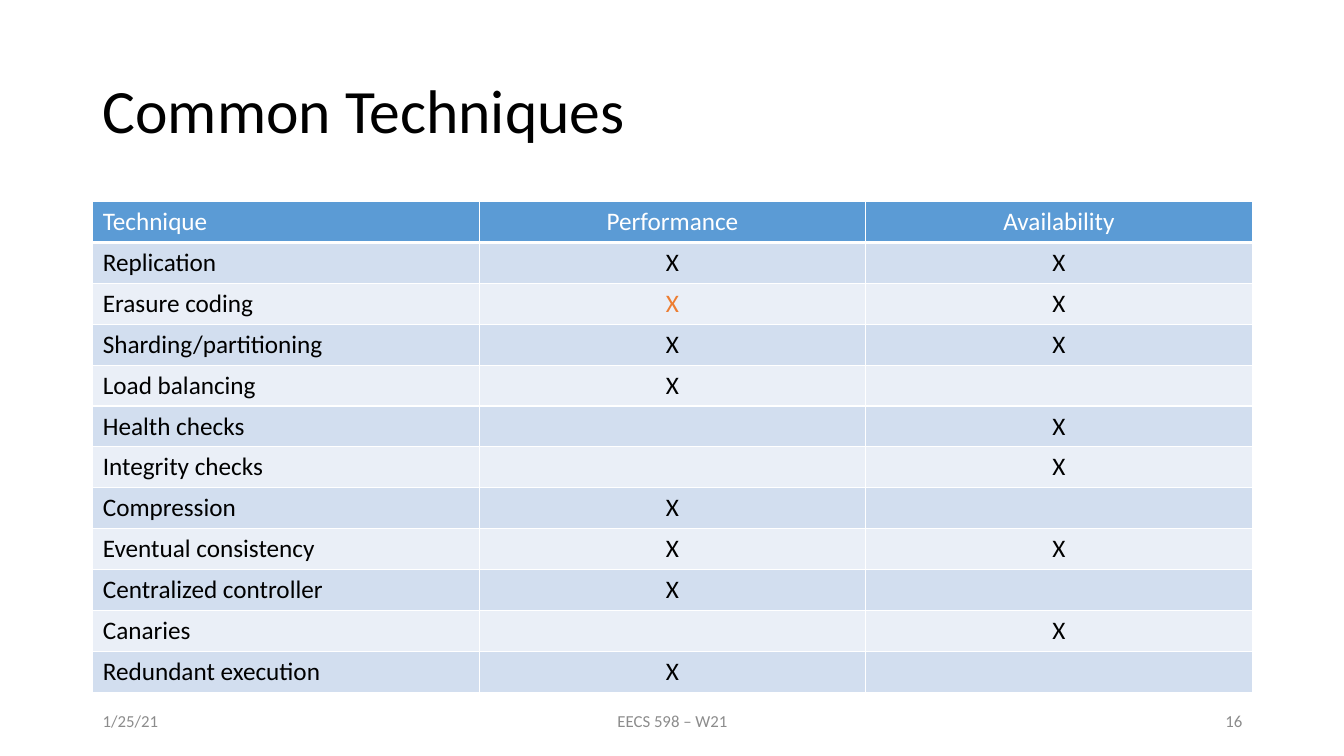
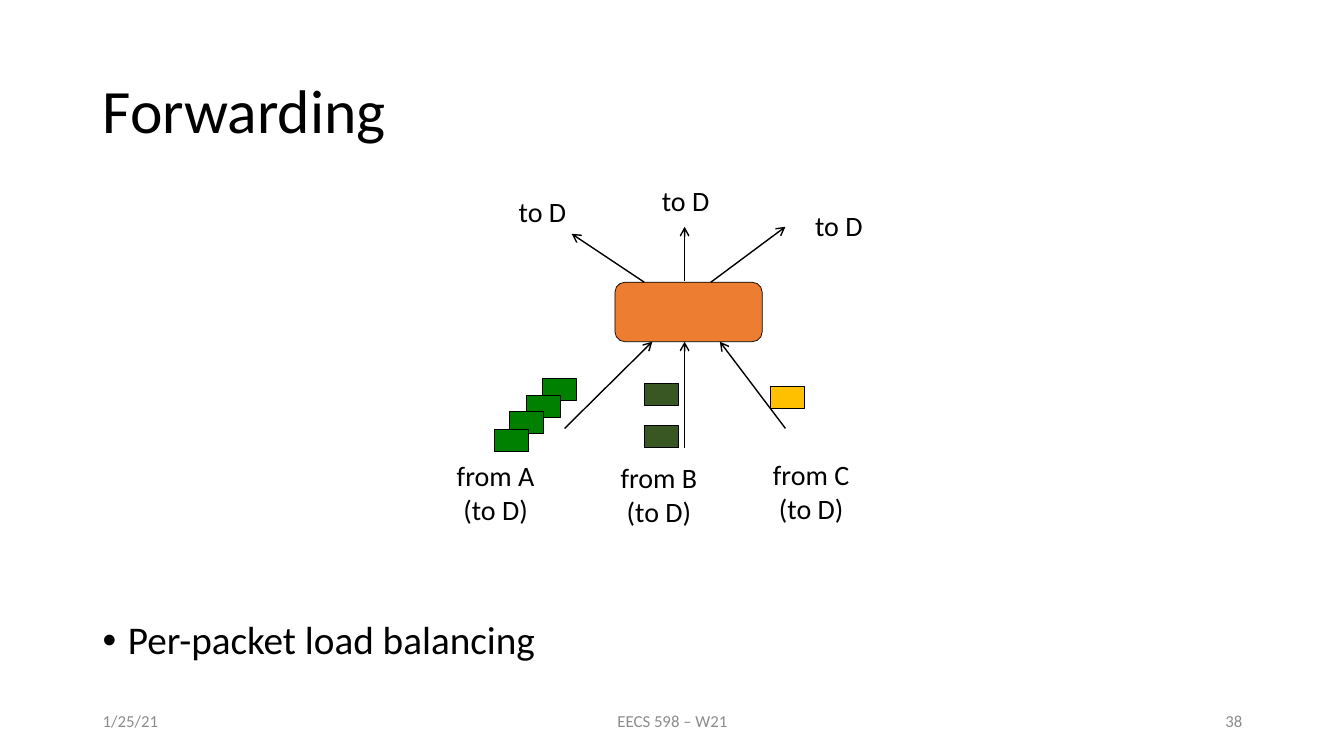
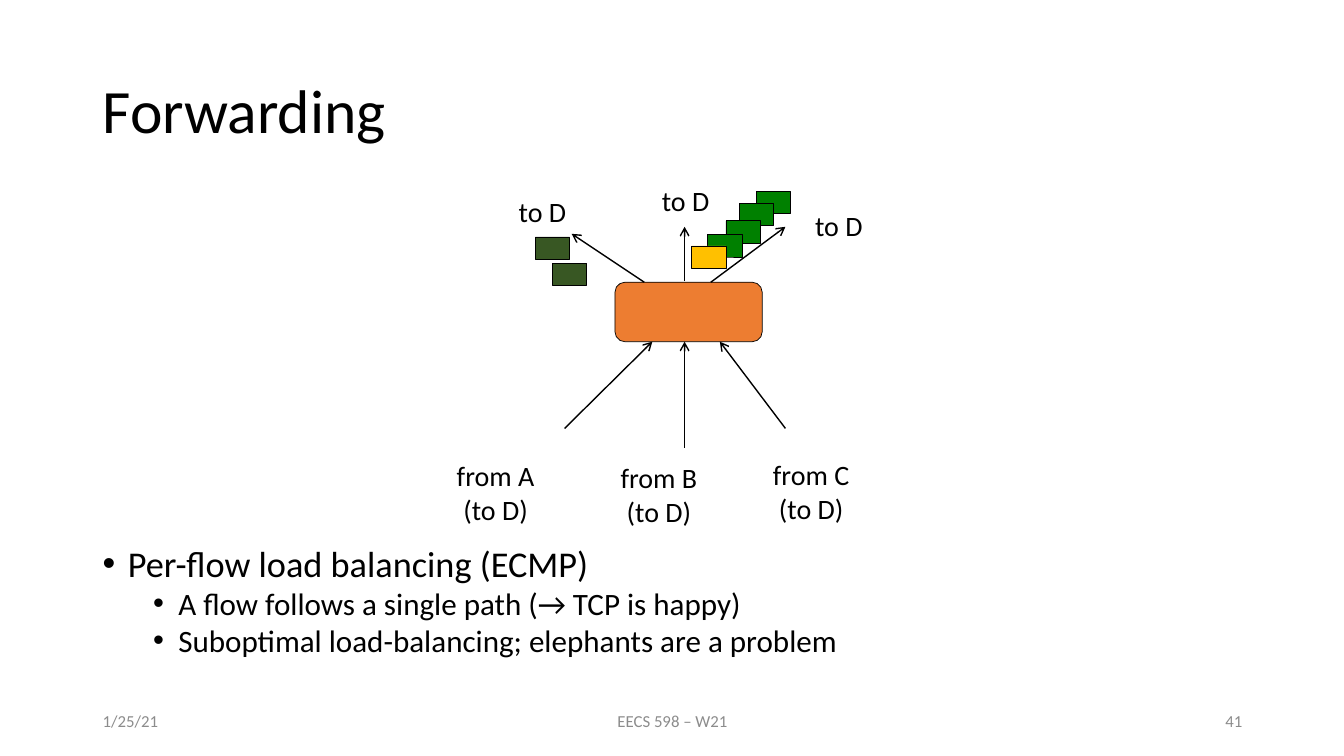
import dataclasses
import typing

import lxml.etree
import pptx
import pptx.dml.color
import pptx.enum.shapes
import pptx.enum.text
import pptx.oxml.ns
import pptx.util

ALIGN = pptx.enum.text.PP_ALIGN
ANCHOR = pptx.enum.text.MSO_ANCHOR
SHAPE = pptx.enum.shapes.MSO_SHAPE


@dataclasses.dataclass(frozen=True)
class Theme:
    font: str = "Calibri"
    ink: str = "000000"
    paper: str = "FFFFFF"
    muted: str = "8C8C8C"
    accent: str = "ED7D31"
    header: str = "5B9BD5"
    bands: tuple[str, str] = ("D2DEEF", "EAEFF7")
    flow_a: str = "008000"
    flow_b: str = "385723"
    flow_c: str = "FFC000"
    title_size: float = 44
    label_size: float = 20
    table_size: float = 18
    footer_size: float = 12


class Area(typing.NamedTuple):
    """Columns and rows of a grid with ten cells to the inch."""
    column: float
    row: float
    columns: float
    rows: float


class Label(typing.NamedTuple):
    text: str
    area: Area


class Arrow(typing.NamedTuple):
    start: tuple[float, float]
    end: tuple[float, float]


class Packet(typing.NamedTuple):
    color: str
    column: float
    row: float


class Technique(typing.NamedTuple):
    name: str
    performance: str
    availability: str
    performance_color: str = Theme.ink


class Bullet(typing.NamedTuple):
    text: str
    size: float
    level: int = 0


@dataclasses.dataclass(frozen=True)
class Forwarding:
    number: int
    packets: list[Packet]
    bullets: list[Bullet]
    spacing: float
    text_bottom: float


THEME = Theme()
MARGIN, CONTENT = 9.2, 115
TITLE_AREA = Area(MARGIN, 4, CONTENT, 14.5)
TABLE_AREA = Area(MARGIN, 20, CONTENT, 48.7)
FOOTER_ROW, FOOTER_ROWS = 69.5, 4
BULLET_TOP = 52
PACKET_SIZE = (3.4, 2.2)

# Content of the table
HEADINGS = ("Technique", "Performance", "Availability")
TECHNIQUES = [
    Technique("Replication", "X", "X"),
    Technique("Erasure coding", "X", "X", THEME.accent),
    Technique("Sharding/partitioning", "X", "X"),
    Technique("Load balancing", "X", ""),
    Technique("Health checks", "", "X"),
    Technique("Integrity checks", "", "X"),
    Technique("Compression", "X", ""),
    Technique("Eventual consistency", "X", "X"),
    Technique("Centralized controller", "X", ""),
    Technique("Canaries", "", "X"),
    Technique("Redundant execution", "X", ""),
]

# Parts of the forwarding diagram
SWITCH = Area(61, 28, 14.6, 5.9)
ARROWS = [
    Arrow((63.9, 28), (56.7, 23.2)),
    Arrow((67.9, 27.9), (67.9, 22.5)),
    Arrow((70.5, 28), (77.9, 22.5)),
    Arrow((56, 42.5), (64.7, 33.9)),
    Arrow((67.9, 44.4), (67.9, 33.9)),
    Arrow((77.9, 42.5), (71.4, 33.9)),
]
LABELS = [
    Label("to D", Area(column, row, 6.8, 4.4))
    for column, row in ((64.6, 17.7), (50.4, 18.8), (79.8, 20.2))
] + [
    Label(f"from {source}\n(to D)", Area(column, row, 9.9, 7.7))
    for source, column, row in (("A", 44.2, 45), ("B", 60.4, 45.2), ("C", 75.5, 44.9))
]


def packets(color: str, *places: tuple[float, float]) -> list[Packet]:
    return [Packet(color, column, row) for column, row in places]


PER_PACKET = Forwarding(
    number=38,
    packets=packets(THEME.flow_a, (53.8, 37.5), (52.2, 39.2), (50.5, 40.8), (49, 42.6))
    + packets(THEME.flow_b, (63.9, 38), (63.9, 42.2))
    + packets(THEME.flow_c, (76.4, 38.3)),
    bullets=[Bullet("Per-packet load balancing", 28)],
    spacing=0.9,
    text_bottom=66.3,
)
PER_FLOW = Forwarding(
    number=41,
    packets=packets(THEME.flow_a, (75, 19), (73.3, 20.2), (72, 21.9), (70.2, 23.3))
    + packets(THEME.flow_b, (53.1, 23.5), (54.8, 26.1))
    + packets(THEME.flow_c, (68.6, 24.4)),
    bullets=[
        Bullet("Per-flow load balancing (ECMP)", 25.9),
        Bullet("A flow follows a single path (→ TCP is happy)", 22.2, 1),
        Bullet("Suboptimal load-balancing; elephants are a problem", 22.2, 1),
    ],
    spacing=0.8,
    text_bottom=65.8,
)


# Basic helpers
def cells(count: float) -> int:
    return pptx.util.Inches(count / 10)


def place(area: Area) -> list[int]:
    return [cells(length) for length in area]


def rgb(color: str) -> pptx.dml.color.RGBColor:
    return pptx.dml.color.RGBColor.from_string(color)


def add_child(parent, tag: str, **attributes: str):
    return lxml.etree.SubElement(parent, pptx.oxml.ns.qn(tag), attributes)


def style(para, size: float, color: str = THEME.ink, align=ALIGN.LEFT) -> None:
    para.alignment = align
    para.font.name = THEME.font
    para.font.size = pptx.util.Pt(size)
    para.font.color.rgb = rgb(color)


def add_text(page, text: str, area: Area, size: float, color: str = THEME.ink,
             align=ALIGN.LEFT, anchor=ANCHOR.MIDDLE, wrap: bool = True):
    frame = page.shapes.add_textbox(*place(area)).text_frame
    frame.word_wrap = wrap
    frame.vertical_anchor = anchor
    para = frame.paragraphs[0]
    para.text = text
    style(para, size, color, align)
    return para


def add_block(page, kind, area: Area, color: str) -> None:
    block = page.shapes.add_shape(kind, *place(area))
    block.shadow.inherit = False
    block.fill.solid()
    block.fill.fore_color.rgb = rgb(color)
    block.line.color.rgb = rgb(THEME.ink)
    block.line.width = pptx.util.Pt(0.5)


def add_arrow(page, arrow: Arrow) -> None:
    line = page.shapes.add_connector(
        pptx.enum.shapes.MSO_CONNECTOR.STRAIGHT,
        *(cells(length) for length in (*arrow.start, *arrow.end)))
    line.line.color.rgb = rgb(THEME.ink)
    line.line.width = pptx.util.Pt(1)
    add_child(line.line._get_or_add_ln(), "a:tailEnd", type="arrow")
    add_child(line._element.spPr, "a:effectLst")


# Title and footer shared by every page
def add_page(deck, title: str, number: int):
    page = deck.slides.add_slide(deck.slide_layouts[6])
    add_text(page, title, TITLE_AREA, THEME.title_size).line_spacing = 0.9
    for text, column, columns, align in (
        ("1/25/21", MARGIN, 30, ALIGN.LEFT),
        ("EECS 598 – W21", 44.2, 45, ALIGN.CENTER),
        (str(number), 94.2, 30, ALIGN.RIGHT),
    ):
        add_text(page, text, Area(column, FOOTER_ROW, columns, FOOTER_ROWS),
                 THEME.footer_size, THEME.muted, align)
    return page


# Table page
def add_borders(cell, top: float, bottom: float) -> None:
    properties = cell._tc.get_or_add_tcPr()
    for index, (side, width) in enumerate(
            (("L", 1), ("R", 1), ("T", top), ("B", bottom))):
        border = lxml.etree.Element(pptx.oxml.ns.qn(f"a:ln{side}"),
                                    w=str(pptx.util.Pt(width)))
        add_child(add_child(border, "a:solidFill"), "a:srgbClr", val=THEME.paper)
        properties.insert(index, border)


def fill_cell(cell, text: str, color: str, fill: str, align) -> None:
    cell.fill.solid()
    cell.fill.fore_color.rgb = rgb(fill)
    para = cell.text_frame.paragraphs[0]
    if text:
        para.text = text
    style(para, THEME.table_size, color, align)


def add_techniques(deck) -> None:
    page = add_page(deck, "Common Techniques", 16)
    table = page.shapes.add_table(
        len(TECHNIQUES) + 1, len(HEADINGS), *place(TABLE_AREA)).table
    table.first_row = table.horz_banding = False
    for row in table.rows:
        row.height = cells(TABLE_AREA.rows / len(table.rows))
    lines = [(HEADINGS, (THEME.paper,) * 3, THEME.header)]
    for index, item in enumerate(TECHNIQUES):
        lines.append(((item.name, item.performance, item.availability),
                      (THEME.ink, item.performance_color, THEME.ink),
                      THEME.bands[index % 2]))
    for row, (texts, colors, fill) in enumerate(lines):
        for column, (text, color) in enumerate(zip(texts, colors)):
            cell = table.cell(row, column)
            fill_cell(cell, text, color, fill, ALIGN.CENTER if column else ALIGN.LEFT)
            add_borders(cell, top=3 if row == 1 else 1, bottom=3 if row == 0 else 1)


# Forwarding pages
def add_bullets(page, content: Forwarding) -> None:
    area = Area(MARGIN, BULLET_TOP, CONTENT, content.text_bottom - BULLET_TOP)
    frame = page.shapes.add_textbox(*place(area)).text_frame
    frame.word_wrap = True
    frame.vertical_anchor = ANCHOR.BOTTOM
    for index, bullet in enumerate(content.bullets):
        para = frame.add_paragraph() if index else frame.paragraphs[0]
        para.text = bullet.text
        para.level = bullet.level
        properties = para._p.get_or_add_pPr()
        properties.set("marL", str(cells(2.5 + 5 * bullet.level)))
        properties.set("indent", str(cells(-2.5)))
        add_child(properties, "a:buFont", typeface="Arial")
        add_child(properties, "a:buChar", char="•")
        para.line_spacing = content.spacing
        if index:
            para.space_before = pptx.util.Pt(5)
        style(para, bullet.size)


def add_forwarding(deck, content: Forwarding) -> None:
    page = add_page(deck, "Forwarding", content.number)
    add_bullets(page, content)
    add_block(page, SHAPE.ROUNDED_RECTANGLE, SWITCH, THEME.accent)
    for arrow in ARROWS:
        add_arrow(page, arrow)
    for label in LABELS:
        add_text(page, label.text, label.area, THEME.label_size,
                 align=ALIGN.CENTER, anchor=ANCHOR.TOP, wrap=False)
    for packet in content.packets:
        add_block(page, SHAPE.RECTANGLE,
                  Area(packet.column, packet.row, *PACKET_SIZE), packet.color)


def main() -> None:
    deck = pptx.Presentation()
    deck.slide_width = pptx.util.Inches(13.33)
    deck.slide_height = pptx.util.Inches(7.5)
    add_techniques(deck)
    for content in (PER_PACKET, PER_FLOW):
        add_forwarding(deck, content)
    deck.save("out.pptx")


if __name__ == "__main__":
    main()
